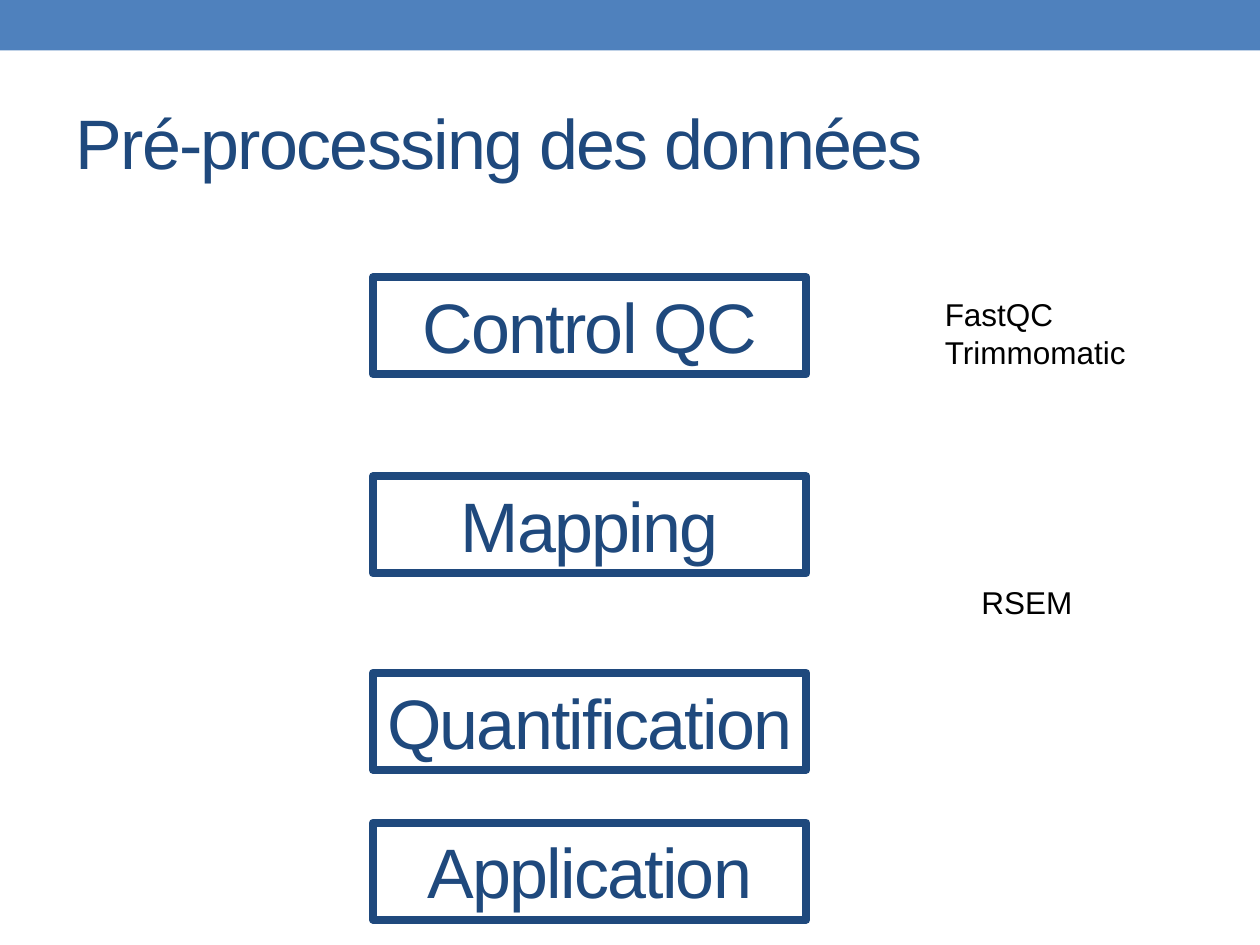
from pptx import Presentation
from pptx import util as u
from pptx.dml.color import RGBColor
from pptx.enum import shapes, text

NAVY, BLUE, BLACK = "1F497D", "4F81BD", "000000"


def rgb(code):
    return RGBColor.from_string(code)


def add_run(paragraph, words, size, color, spacing=0):
    """Add an Arial run; spacing is in hundredths of a point."""
    run = paragraph.add_run()
    run.text = words
    run.font.name = "Arial"
    run.font.size = u.Pt(size)
    run.font.color.rgb = rgb(color)
    if spacing:
        run.font._element.set("spc", str(spacing))


prs = Presentation()
prs.slide_width, prs.slide_height = u.Inches(10), u.Inches(7.5)
slide = prs.slides.add_slide(prs.slide_layouts[5])

# Top band
band = slide.shapes.add_shape(
    shapes.MSO_SHAPE.RECTANGLE, 0, 0, prs.slide_width, u.Inches(0.4))
band.shadow.inherit = False
band.fill.solid()
band.fill.fore_color.rgb = rgb(BLUE)
band.line.fill.background()

# Title
title = slide.shapes.title
title.left, title.top = u.Inches(0.5), u.Inches(0.58)
title.width, title.height = u.Inches(9), u.Inches(1.08)
title.text_frame.vertical_anchor = text.MSO_ANCHOR.MIDDLE
heading = title.text_frame.paragraphs[0]
heading.alignment = text.PP_ALIGN.LEFT
add_run(heading, "Pré-processing des données", 40, NAVY, -100)

# Pipeline steps, all in one column
steps = [("Control QC", 2.2), ("Mapping", 3.78),
         ("Quantification", 5.34), ("Application", 6.53)]
for step, top in steps:
    box = slide.shapes.add_shape(
        shapes.MSO_SHAPE.RECTANGLE,
        u.Inches(2.96), u.Inches(top), u.Inches(3.44), u.Inches(0.77))
    box.shadow.inherit = False
    box.fill.background()
    box.line.color.rgb = rgb(NAVY)
    box.line.width = u.Pt(4.5)
    frame = box.text_frame
    frame.word_wrap = True
    frame.auto_size = text.MSO_AUTO_SIZE.SHAPE_TO_FIT_TEXT
    frame.vertical_anchor = text.MSO_ANCHOR.TOP
    frame.paragraphs[0].alignment = text.PP_ALIGN.CENTER
    add_run(frame.paragraphs[0], step, 40, NAVY, -100)

# Tools used beside the steps
tools = [(["RSEM"], 7.69, 4.58, 0.93, 0.4),
         (["FastQC", "Trimmomatic"], 7.4, 2.29, 1.65, 0.71)]
for names, *place in tools:
    note = slide.shapes.add_textbox(*map(u.Inches, place))
    frame = note.text_frame
    frame.word_wrap = False
    frame.auto_size = text.MSO_AUTO_SIZE.SHAPE_TO_FIT_TEXT
    for row, name in enumerate(names):
        line = frame.add_paragraph() if row else frame.paragraphs[0]
        add_run(line, name, 18, BLACK)

prs.save("out.pptx")
